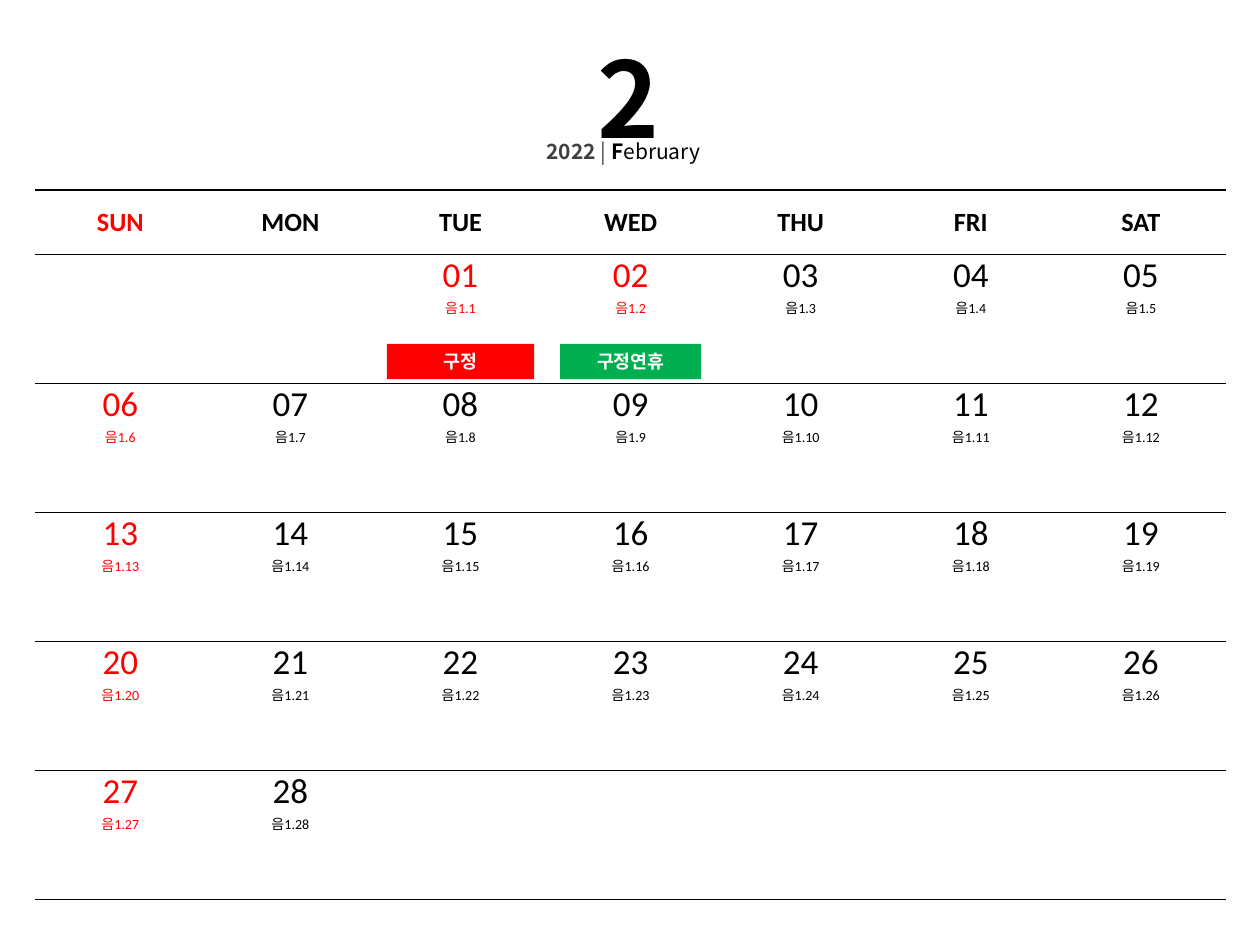
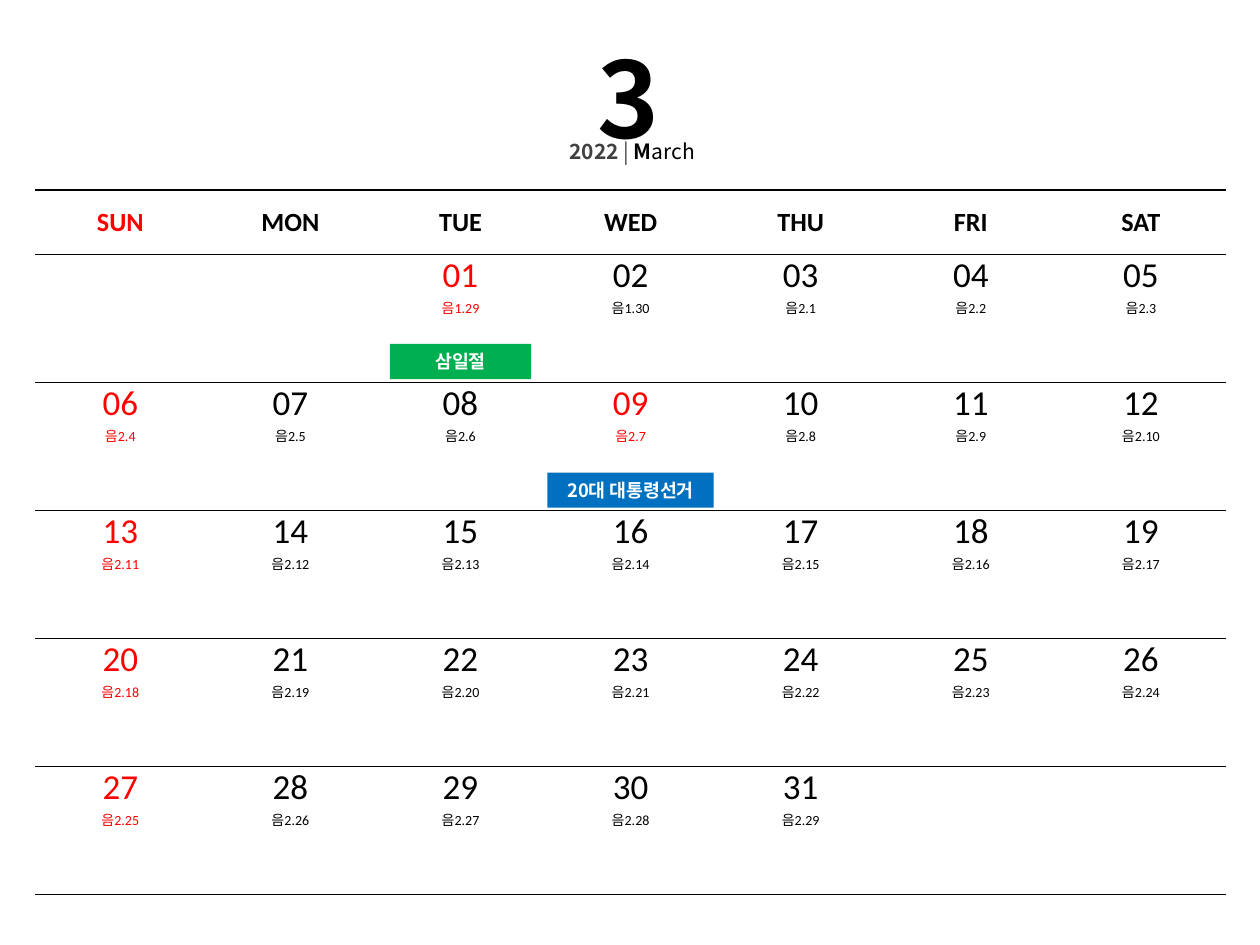
from dataclasses import dataclass

from lxml.etree import SubElement
from pptx import Presentation
from pptx.dml.color import RGBColor
from pptx.enum.shapes import MSO_SHAPE
from pptx.enum.text import MSO_ANCHOR as ANCHOR, MSO_AUTO_SIZE as FIT, PP_ALIGN as ALIGN
from pptx.oxml.ns import qn
from pptx.util import Inches, Pt

YEAR = "2022"
WEEKDAYS = ["SUN", "MON", "TUE", "WED", "THU", "FRI", "SAT"]
LUNAR_MARK, LUNAR_MONTH_DAYS = "음", 30
# first: column of day 1; lunar: lunar month and day of day 1
# events: day, label, theme colour, width of the label
MONTHS = [
    dict(number="2", name="February", days=28, first=2, lunar=(1, 1), holidays={1, 2},
         table_height=5.63, caption=(4.24, 1.44),
         events=[(1, "구정", "red", 1.17), (2, "구정연휴", "green", 1.12)]),
    dict(number="3", name="March", days=31, first=2, lunar=(1, 29), holidays={1, 9},
         table_height=5.59, caption=(4.42, 1.22),
         events=[(1, "삼일절", "green", 1.12), (9, "20대 대통령선거", "blue", 1.32)]),
]


@dataclass(frozen=True)
class Theme:
    """Colours, fonts, type sizes and line widths."""
    black: str = "000000"
    gray: str = "404040"
    white: str = "FFFFFF"
    red: str = "FF0000"
    green: str = "00B050"
    blue: str = "0070C0"
    latin: str = "Calibri"
    korean: str = "Noto Sans CJK KR"
    number: float = 60
    caption: float = 12
    weekday: float = 15
    day: float = 20
    lunar: float = 8
    event: float = 10.5
    thick: float = 1
    thin: float = 0.5


T = Theme()
NO_STYLE = "{2D5ABB26-0587-4C30-8999-92F81FD0307C}"
LEFT, TOP, COLUMN, HEADER, WEEK, WEEKS = 0.28, 1.51, 1.35, 0.51, 1.02, 5
NUMBER_BOX = (4.64, 0.21, 0.33, 1.11)
CAPTION_TOP, CAPTION_HEIGHT = 1.05, 0.3
EVENT_HEIGHT, EVENT_RISE = 0.28, 0.31


def inches(*values):
    """Turn several numbers into lengths."""
    return [Inches(v) for v in values]


def style(obj, **values):
    """Set several attributes of one object."""
    for name, value in values.items():
        setattr(obj, name, value)


def write(p, text, size, color, font, bold=False):
    """Add a formatted run to a paragraph."""
    r = p.add_run()
    r.text = text
    style(r.font, size=Pt(size), name=font, bold=bold)
    r.font.color.rgb = RGBColor.from_string(color)
    SubElement(r.font._element, qn("a:ea"), typeface=T.korean)


def rule_cell(cell, **widths):
    """Draw black borders on the named sides of a cell and clear its fill."""
    tc_pr = cell._tc.get_or_add_tcPr()
    for side, width in widths.items():
        ln = SubElement(tc_pr, qn(f"a:ln{side}"), w=str(Pt(width)))
        SubElement(SubElement(ln, qn("a:solidFill")), qn("a:srgbClr"), val=T.black)
    cell.fill.background()


def lunar_date(month, day):
    """Name the lunar date of a day of the month."""
    m, d = month["lunar"]
    carry, rest = divmod(d + day - 2, LUNAR_MONTH_DAYS)
    return f"{LUNAR_MARK}{m + carry}.{rest + 1}"


def add_heading(slide, month):
    """Put the month number in the title and its name in a caption."""
    sp = slide.shapes.title
    sp.left, sp.top, sp.width, sp.height = inches(*NUMBER_BOX)
    tf = sp.text_frame
    style(tf, word_wrap=True, auto_size=FIT.NONE, vertical_anchor=ANCHOR.MIDDLE)
    tf.paragraphs[0].alignment = ALIGN.LEFT
    write(tf.paragraphs[0], month["number"], T.number, T.black, T.korean, True)

    left, width = month["caption"]
    sp = slide.shapes.add_textbox(*inches(left, CAPTION_TOP, width, CAPTION_HEIGHT))
    tf = sp.text_frame
    style(tf, word_wrap=False, auto_size=FIT.NONE, vertical_anchor=ANCHOR.MIDDLE)
    name = month["name"]
    for text, color, bold in [(YEAR, T.gray, True), (" | ", T.gray, False),
                              (name[0], T.black, True), (name[1:], T.black, False)]:
        write(tf.paragraphs[0], text, T.caption, color, T.korean, bold)


def add_calendar(slide, month):
    """Add the table of weeks with solar and lunar dates."""
    height = month["table_height"]
    table = slide.shapes.add_table(WEEKS + 1, len(WEEKDAYS), *inches(
        LEFT, TOP, COLUMN * len(WEEKDAYS), height)).table
    style(table, first_row=False, horz_banding=False)
    table._tbl.tblPr.find(qn("a:tableStyleId")).text = NO_STYLE
    for i, row in enumerate(table.rows):
        row.height = Inches((height - HEADER) / WEEKS if i else HEADER)

    for col, weekday in enumerate(WEEKDAYS):
        sunday = col == 0
        cell = table.cell(0, col)
        style(cell, vertical_anchor=ANCHOR.MIDDLE, margin_left=Inches(0.01),
              margin_right=Inches(0.01), margin_top=Inches(0.01), margin_bottom=0)
        p = cell.text_frame.paragraphs[0]
        p.alignment = ALIGN.CENTER
        write(p, weekday, T.weekday, T.red if sunday else T.black, T.latin, True)
        rule_cell(cell, T=T.thick, B=T.thick)
        for week in range(1, WEEKS + 1):
            cell = table.cell(week, col)
            style(cell, margin_left=0, margin_right=0, margin_top=0, margin_bottom=0)
            rule_cell(cell, T=T.thick if week == 1 else T.thin,
                      B=T.thick if week == WEEKS else T.thin)
            day = (week - 1) * 7 + col - month["first"] + 1
            if not 1 <= day <= month["days"]:
                continue
            color = T.red if sunday or day in month["holidays"] else T.black
            tf = cell.text_frame
            lines = [(f"{day:02}", T.day), (lunar_date(month, day), T.lunar)]
            for p, (text, size) in zip([tf.paragraphs[0], tf.add_paragraph()], lines):
                p.alignment = ALIGN.CENTER
                write(p, text, size, color, T.latin)


def add_events(slide, month):
    """Add a coloured label at the foot of each event's day."""
    for day, label, color, width in month["events"]:
        week, col = divmod(day + month["first"] - 1, 7)
        left = LEFT + COLUMN * (col + 0.5) - width / 2
        top = TOP + HEADER + WEEK * (week + 1) - EVENT_RISE
        sp = slide.shapes.add_shape(MSO_SHAPE.RECTANGLE,
                                    *inches(left, top, width, EVENT_HEIGHT))
        sp.shadow.inherit = False
        sp.fill.solid()
        sp.fill.fore_color.rgb = RGBColor.from_string(getattr(T, color))
        sp.line.fill.background()
        tf = sp.text_frame
        style(tf, word_wrap=True, auto_size=FIT.NONE, vertical_anchor=ANCHOR.MIDDLE)
        tf.paragraphs[0].alignment = ALIGN.CENTER
        write(tf.paragraphs[0], label, T.event, T.white, T.korean, True)


prs = Presentation()
prs.slide_width, prs.slide_height = inches(10, 7.5)
title_only = prs.slide_layouts[5]
for month in MONTHS:
    slide = prs.slides.add_slide(title_only)
    add_calendar(slide, month)
    add_events(slide, month)
    add_heading(slide, month)
prs.save("out.pptx")
